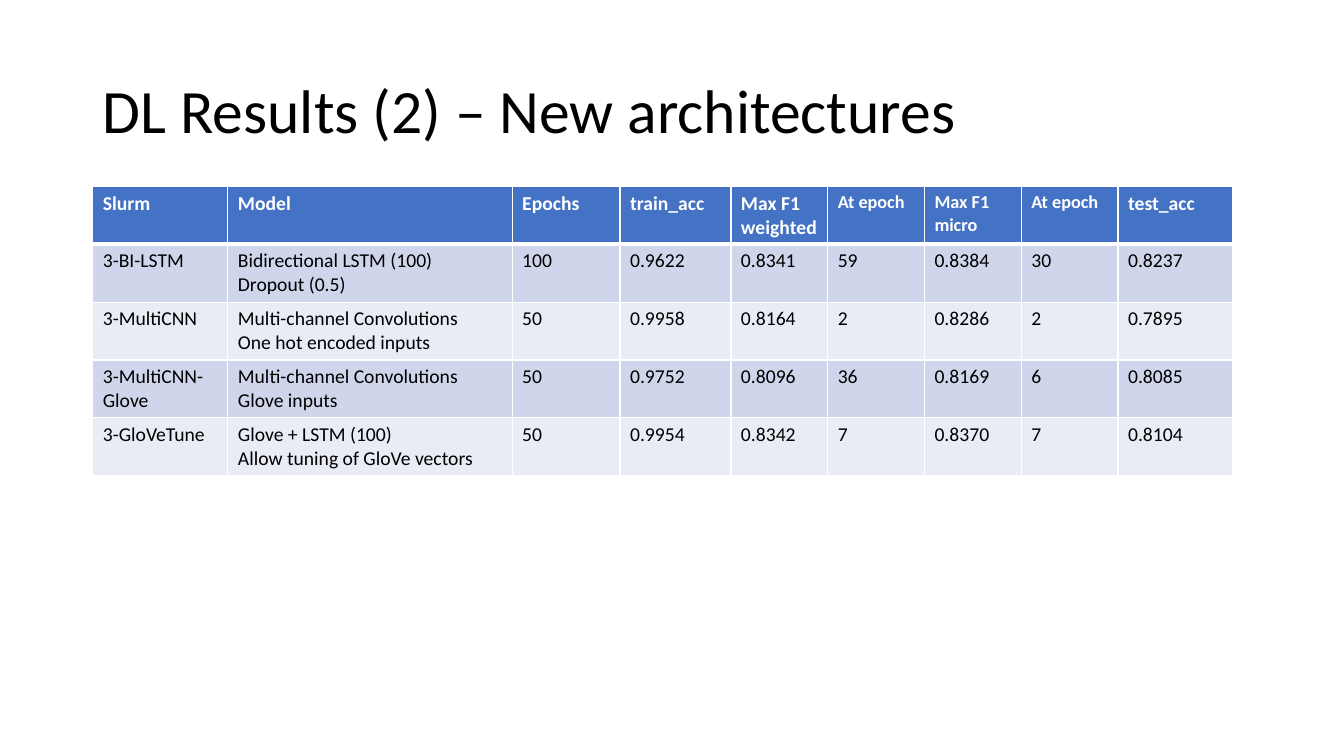
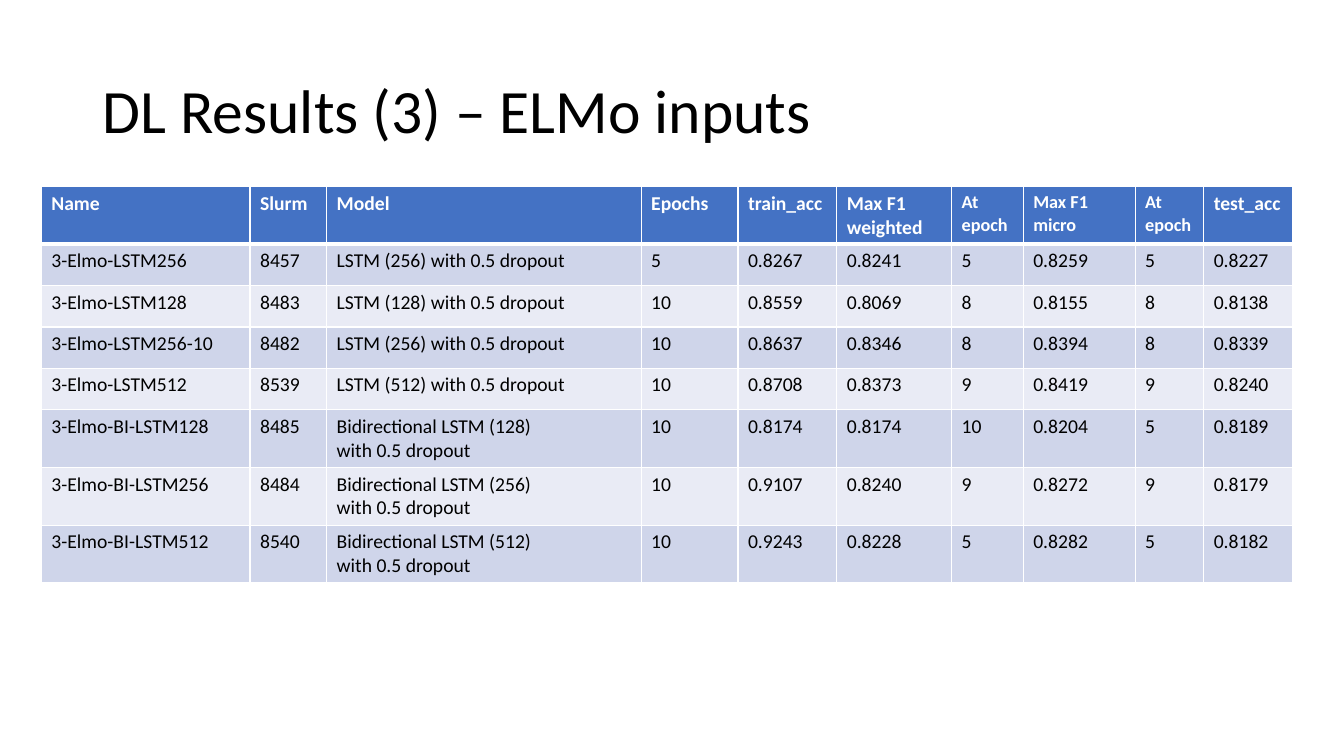
from dataclasses import dataclass

from lxml import etree
from pptx import Presentation
from pptx.dml.color import RGBColor
from pptx.enum.text import MSO_ANCHOR, PP_ALIGN
from pptx.oxml.ns import qn
from pptx.util import Inches, Pt

LEFT = PP_ALIGN.LEFT
MIDDLE = MSO_ANCHOR.MIDDLE
TITLE_ONLY = 5


@dataclass(frozen=True)
class Theme:
    font: str = "Calibri"
    ink: str = "000000"
    paper: str = "FFFFFF"
    header: str = "4472C4"
    bands: tuple = ("CFD5EA", "E9EBF5")
    title_size: int = 44
    table_size: int = 14
    narrow_header_size: int = 13
    rule: int = 1
    header_rule: int = 3


THEME = Theme()
SLIDE_WIDTH, SLIDE_HEIGHT = Inches(13.33), Inches(7.5)
MARGIN = Inches(0.92)
TITLE_TOP, TABLE_TOP = Inches(0.4), Inches(1.85)
ROW_HEIGHT = Inches(0.41)
NARROW_HEADERS = ("At epoch", "Max F1 micro")
SCORES = ("Epochs", "train_acc", "Max F1 weighted", "At epoch",
          "Max F1 micro", "At epoch", "test_acc")

RESULTS = [
    {
        "title": "DL Results (2) – New architectures",
        "left": MARGIN,
        "height": Inches(2.83),
        "widths": (1.34, 2.82, 1.07, 1.1, 0.96, 0.96, 0.96, 0.96, 1.14),
        "rows": [
            ("Slurm", "Model", *SCORES),
            ("3-BI-LSTM", "Bidirectional LSTM (100)\nDropout (0.5)",
             "100", "0.9622", "0.8341", "59", "0.8384", "30", "0.8237"),
            ("3-MultiCNN", "Multi-channel Convolutions\nOne hot encoded inputs",
             "50", "0.9958", "0.8164", "2", "0.8286", "2", "0.7895"),
            ("3-MultiCNN-Glove", "Multi-channel Convolutions\nGlove inputs",
             "50", "0.9752", "0.8096", "36", "0.8169", "6", "0.8085"),
            ("3-GloVeTune", "Glove + LSTM (100)\nAllow tuning of GloVe vectors",
             "50", "0.9954", "0.8342", "7", "0.8370", "7", "0.8104"),
        ],
    },
    {
        "title": "DL Results (3) – ELMo inputs",
        "left": Inches(0.41),
        "height": Inches(3.89),
        "widths": (2.07, 0.76, 3.12, 0.96, 0.98, 1.14, 0.71, 1.11, 0.68, 0.88),
        "rows": [
            ("Name", "Slurm", "Model", *SCORES),
            ("3-Elmo-LSTM256", "8457", "LSTM (256) with 0.5 dropout",
             "5", "0.8267", "0.8241", "5", "0.8259", "5", "0.8227"),
            ("3-Elmo-LSTM128", "8483", "LSTM (128) with 0.5 dropout",
             "10", "0.8559", "0.8069", "8", "0.8155", "8", "0.8138"),
            ("3-Elmo-LSTM256-10", "8482", "LSTM (256) with 0.5 dropout",
             "10", "0.8637", "0.8346", "8", "0.8394", "8", "0.8339"),
            ("3-Elmo-LSTM512", "8539", "LSTM (512) with 0.5 dropout",
             "10", "0.8708", "0.8373", "9", "0.8419", "9", "0.8240"),
            ("3-Elmo-BI-LSTM128", "8485", "Bidirectional LSTM (128)\nwith 0.5 dropout",
             "10", "0.8174", "0.8174", "10", "0.8204", "5", "0.8189"),
            ("3-Elmo-BI-LSTM256", "8484", "Bidirectional LSTM (256)\nwith 0.5 dropout",
             "10", "0.9107", "0.8240", "9", "0.8272", "9", "0.8179"),
            ("3-Elmo-BI-LSTM512", "8540", "Bidirectional LSTM (512)\nwith 0.5 dropout",
             "10", "0.9243", "0.8228", "5", "0.8282", "5", "0.8182"),
        ],
    },
]


def style_font(paragraph, size, color, bold=False):
    font = paragraph.font
    font.name, font.size, font.bold = THEME.font, Pt(size), bold
    font.color.rgb = RGBColor.from_string(color)


def rule_cell(cell, top, bottom):
    """Draw the four cell borders; top and bottom are widths in points."""
    properties = cell._tc.get_or_add_tcPr()
    sides = {"lnL": THEME.rule, "lnR": THEME.rule, "lnT": top, "lnB": bottom}
    for position, (side, width) in enumerate(sides.items()):
        line = etree.Element(qn(f"a:{side}"), w=str(Pt(width)))
        fill = etree.SubElement(line, qn("a:solidFill"))
        etree.SubElement(fill, qn("a:srgbClr"), val=THEME.paper)
        properties.insert(position, line)


deck = Presentation()
deck.slide_width, deck.slide_height = SLIDE_WIDTH, SLIDE_HEIGHT

for result in RESULTS:
    slide = deck.slides.add_slide(deck.slide_layouts[TITLE_ONLY])

    title = slide.shapes.title
    title.left, title.top = MARGIN, TITLE_TOP
    title.width, title.height = SLIDE_WIDTH - 2 * MARGIN, TABLE_TOP - TITLE_TOP
    title.text_frame.text = result["title"]
    title.text_frame.word_wrap = True
    title.text_frame.vertical_anchor = MIDDLE
    heading = title.text_frame.paragraphs[0]
    heading.alignment, heading.line_spacing = LEFT, 0.9
    style_font(heading, THEME.title_size, THEME.ink)

    rows, widths = result["rows"], result["widths"]
    frame = slide.shapes.add_table(len(rows), len(widths), result["left"], TABLE_TOP,
                                   Inches(sum(widths)), result["height"])
    scores = frame.table
    for column, width in zip(scores.columns, widths):
        column.width = Inches(width)

    for row_index, row in enumerate(rows):
        scores.rows[row_index].height = ROW_HEIGHT
        is_header = row_index == 0
        band = THEME.header if is_header else THEME.bands[(row_index - 1) % 2]
        color = THEME.paper if is_header else THEME.ink
        top = THEME.header_rule if row_index == 1 else THEME.rule
        bottom = THEME.header_rule if is_header else THEME.rule
        for column_index, value in enumerate(row):
            cell = scores.cell(row_index, column_index)
            cell.text = value
            cell.fill.solid()
            cell.fill.fore_color.rgb = RGBColor.from_string(band)
            rule_cell(cell, top, bottom)
            size = THEME.narrow_header_size if value in NARROW_HEADERS else THEME.table_size
            for paragraph in cell.text_frame.paragraphs:
                style_font(paragraph, size, color, is_header)
    frame.height = result["height"]

deck.save("out.pptx")
